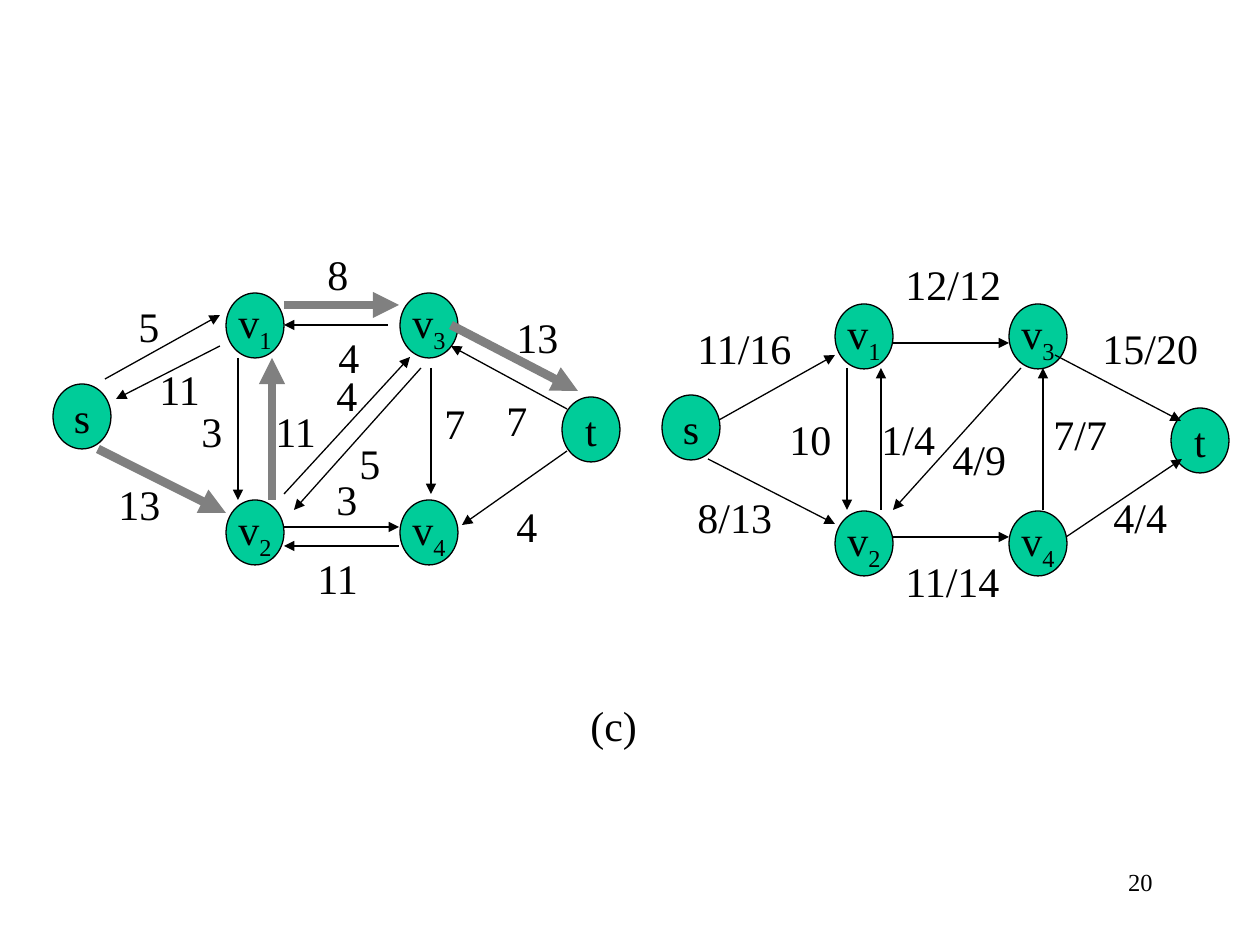
from lxml import etree
from pptx import Presentation
from pptx.oxml.ns import qn
from pptx.util import Emu, Pt
from pptx.dml.color import RGBColor
from pptx.enum import shapes, text

PX = 914400 / 126
FONT = "Times New Roman"
COLORS = {name: RGBColor.from_string(value) for name, value in
          {"node": "00CC99", "ink": "000000", "path": "808080"}.items()}
NODE_WIDTH, NODE_HEIGHT = 58, 65
LABEL_HEIGHT = 63
GLYPH_WIDTHS = {"/": 12, "(": 14, ")": 14, "c": 19}  # digits are 21

# Node positions inside one graph, shared by both graphs
NODES = {"s": (0, 91), "v1": (173, 0), "v2": (173, 207),
         "v3": (347, 0), "v4": (347, 207), "t": (509, 104)}

# Edges are x1, y1, x2, y2; labels are text, left, top
RESIDUAL = {
    "origin": (53, 293),
    "edges": [
        (105, 379, 220, 315), (284, 527, 399, 527), (238, 358, 238, 500),
        (421, 368, 294, 510), (220, 346, 116, 399), (388, 325, 284, 325),
        (284, 494, 410, 357), (399, 546, 284, 546), (431, 368, 431, 494),
        (567, 451, 462, 525), (567, 409, 451, 346)],
    "augmenting_path": [
        (98, 449, 226, 513), (272, 500, 272, 358),
        (284, 305, 399, 305), (451, 325, 578, 391)],
    "labels": [
        ("5", 126, 294), ("13", 106, 472), ("8", 315, 242), ("3", 189, 399),
        ("11", 263, 399), ("4", 504, 494), ("7", 432, 391), ("11", 305, 546),
        ("11", 147, 357), ("4", 326, 325), ("4", 324, 363), ("3", 324, 467),
        ("5", 347, 431), ("13", 504, 305), ("7", 494, 388)],
}
FLOW = {
    "origin": (662, 304),
    "edges": [
        (719, 420, 835, 355), (893, 343, 1009, 343), (1055, 355, 1181, 421),
        (708, 459, 835, 524), (893, 537, 1009, 537), (1066, 537, 1182, 459),
        (847, 368, 847, 510), (881, 510, 881, 368), (1043, 510, 1043, 368),
        (1021, 368, 893, 510)],
    "augmenting_path": [],
    "labels": [
        ("11/16", 685, 316), ("8/13", 685, 485), ("12/12", 893, 252),
        ("10", 777, 407), ("1/4", 869, 407), ("4/9", 940, 427),
        ("15/20", 1090, 316), ("4/4", 1101, 485), ("7/7", 1041, 402),
        ("11/14", 893, 549)],
}


def px(*lengths):
    return [Emu(round(length * PX)) for length in lengths]


def add_label(words, left, top, width=None, size=24):
    """Add a one-line text box, by default as wide as its words."""
    width = width or 25 + sum(GLYPH_WIDTHS.get(glyph, 21) for glyph in words)
    box = slide.shapes.add_textbox(*px(left, top, width, LABEL_HEIGHT))
    paragraph = box.text_frame.paragraphs[0]
    paragraph.text = words
    paragraph.font.name = FONT
    paragraph.font.size = Pt(size)
    paragraph.font.color.rgb = COLORS["ink"]
    return box


presentation = Presentation()
presentation.slide_width, presentation.slide_height = px(1260, 945)
slide = presentation.slides.add_slide(presentation.slide_layouts[6])

for graph in (RESIDUAL, FLOW):
    origin_x, origin_y = graph["origin"]
    for name, (x, y) in NODES.items():
        node = slide.shapes.add_shape(
            shapes.MSO_SHAPE.OVAL,
            *px(origin_x + x, origin_y + y, NODE_WIDTH, NODE_HEIGHT))
        node.shadow.inherit = False
        node.fill.solid()
        node.fill.fore_color.rgb = COLORS["node"]
        node.line.color.rgb = COLORS["ink"]
        node.line.width = Pt(0.75)
        frame = node.text_frame
        frame.word_wrap = False
        frame.vertical_anchor = text.MSO_ANCHOR.MIDDLE
        paragraph = frame.paragraphs[0]
        paragraph.alignment = text.PP_ALIGN.CENTER
        paragraph.font.name = FONT
        paragraph.font.size = Pt(24)
        paragraph.font.color.rgb = COLORS["ink"]
        paragraph.add_run().text = name[0]
        if name[1:]:
            subscript = paragraph.add_run()
            subscript.text = name[1:]
            subscript._r.get_or_add_rPr().set("baseline", "-25000")

    for kind, color, width in (("edges", "ink", 0.75),
                               ("augmenting_path", "path", 5)):
        for ends in graph[kind]:
            arrow = slide.shapes.add_connector(
                shapes.MSO_CONNECTOR.STRAIGHT, *px(*ends))
            arrow.line.color.rgb = COLORS[color]
            arrow.line.width = Pt(width)
            properties = arrow._element.spPr
            etree.SubElement(properties.find(qn("a:ln")), qn("a:tailEnd"),
                             type="triangle")
            etree.SubElement(properties, qn("a:effectLst"))

    for label in graph["labels"]:
        add_label(*label)

add_label("(c)", 578, 693)
slide_number = add_label("20", 903, 861, width=262, size=14)
slide_number.text_frame.word_wrap = True
slide_number.text_frame.paragraphs[0].alignment = text.PP_ALIGN.RIGHT

presentation.save("out.pptx")
